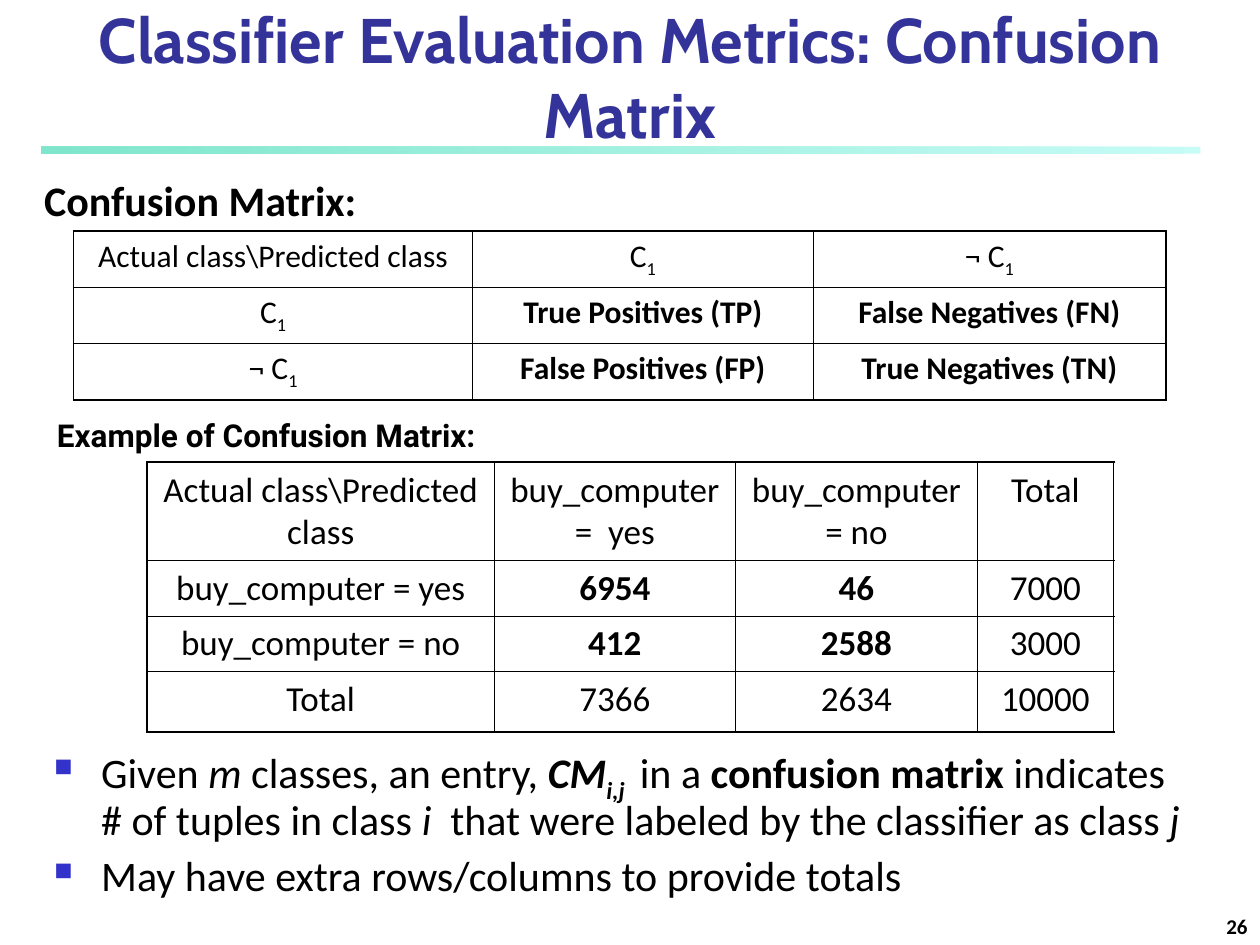
from lxml.etree import SubElement
from pptx import Presentation
from pptx.dml.color import RGBColor
from pptx.enum.shapes import MSO_SHAPE
from pptx.enum.text import MSO_ANCHOR, MSO_AUTO_SIZE, PP_ALIGN
from pptx.oxml.ns import qn
from pptx.util import Cm, Pt

COLORS = {"text": "000000", "title": "333399", "bullet": "3333CC",
          "rule_right": "8FF9EF", "rule_left": "00CE98"}
C1 = [("C", ""), ("1", "_")]
NOT_C1 = [("¬ C", ""), ("1", "_")]
CLASS_ROWS = [
    ["Actual class\\Predicted class", C1, NOT_C1],
    [C1, [("True Positives (TP)", "b")], [("False Negatives (FN)", "b")]],
    [NOT_C1, [("False Positives (FP)", "b")], [("True Negatives (TN)", "b")]],
]
EXAMPLE_ROWS = [
    ["Actual class\\Predicted class", "buy_computer =  yes", "buy_computer = no", "Total"],
    ["buy_computer = yes", [("6954", "b")], [("46", "b")], "7000"],
    ["buy_computer = no", [("412", "b")], [("2588", "b")], "3000"],
    ["Total", "7366", "2634", "10000"],
]
NOTES = [
    [("Given", ""), (" m", "i"), (" classes, an entry, ", ""), ("CM", "bi"),
     ("i,j ", "bi_"), (" in a ", ""), ("confusion matrix", "b"),
     (" indicates # of tuples in class ", ""), ("i", "i"),
     ("  that were labeled by the classifier as class ", ""), ("j", "i")],
    "May have extra rows/columns to provide totals",
]


class SlideBuilder:
    """Holds the text style and the current slide, and adds elements to it."""

    def __init__(self, page, font="Calibri"):
        self.page = page
        self.font = font

    def add_spans(self, para, content, size, color="text", font=None):
        spans = [(content, "")] if isinstance(content, str) else content
        for text, marks in spans:
            span = para.add_run()
            span.text = text
            span.font.name = font or self.font
            span.font.size = Pt(size)
            span.font.bold = "b" in marks
            span.font.italic = "i" in marks
            span.font.color.rgb = RGBColor.from_string(COLORS[color])
            if "_" in marks:
                span.font._element.set("baseline", "-25000")

    def title(self, text, left, top, width, height):
        box = self.page.shapes.title
        box.left, box.top, box.width, box.height = map(Cm, (left, top, width, height))
        frame = box.text_frame
        frame.auto_size = MSO_AUTO_SIZE.NONE
        frame.vertical_anchor = MSO_ANCHOR.BOTTOM
        para = frame.paragraphs[0]
        para.alignment = PP_ALIGN.CENTER
        self.add_spans(para, [(text, "b")], 36, "title", "Cabin")

    def rule(self, left, top, width, height):
        bar = self.page.shapes.add_shape(
            MSO_SHAPE.RECTANGLE, *map(Cm, (left, top, width, height)))
        bar.shadow.inherit = False
        bar.line.fill.background()
        bar.fill.gradient()
        bar.fill.gradient_angle = 180
        for stop, name in zip(bar.fill.gradient_stops, ("rule_right", "rule_left")):
            stop.color.rgb = RGBColor.from_string(COLORS[name])
        for color in bar._element.spPr.iter(qn("a:srgbClr")):
            SubElement(color, qn("a:alpha"), val="50000")

    def frame(self, left, top, width, height, wrap=True):
        box = self.page.shapes.add_textbox(*map(Cm, (left, top, width, height)))
        box.text_frame.word_wrap = wrap
        return box.text_frame

    def label(self, text, place, size, font=None, wrap=True,
              align=PP_ALIGN.LEFT, anchor=MSO_ANCHOR.TOP):
        frame = self.frame(*place, wrap=wrap)
        frame.vertical_anchor = anchor
        para = frame.paragraphs[0]
        para.alignment = align
        self.add_spans(para, [(text, "b")], size, font=font)

    def bullets(self, items, place, size):
        frame = self.frame(*place)
        for index, item in enumerate(items):
            para = frame.add_paragraph() if index else frame.paragraphs[0]
            para.line_spacing = 0.9
            para.space_before = Pt(6 if index else 0)
            props = para._p.get_or_add_pPr()
            props.set("marL", str(Cm(0.95)))
            props.set("indent", str(Cm(-0.95)))
            SubElement(SubElement(props, qn("a:buClr")), qn("a:srgbClr"), val=COLORS["bullet"])
            SubElement(props, qn("a:buSzPct"), val="60000")
            SubElement(props, qn("a:buChar"), char="■")
            self.add_spans(para, item, size)

    def border(self, cell, side, width):
        line = SubElement(cell._tc.get_or_add_tcPr(), qn(f"a:ln{side}"), w=str(Pt(width)))
        SubElement(SubElement(line, qn("a:solidFill")), qn("a:srgbClr"), val=COLORS["text"])

    def table(self, rows, left, top, widths, heights, size):
        table = self.page.shapes.add_table(
            len(rows), len(widths), Cm(left), Cm(top),
            Cm(sum(widths)), Cm(sum(heights))).table
        for column, width in zip(table.columns, widths):
            column.width = Cm(width)
        for r, (row, height) in enumerate(zip(rows, heights)):
            table.rows[r].height = Cm(height)
            for c, content in enumerate(row):
                cell = table.cell(r, c)
                edges = {"L": c == 0, "R": c == len(row) - 1,
                         "T": r == 0, "B": r == len(rows) - 1}
                for side, outer in edges.items():
                    self.border(cell, side, 1.08 if outer else 0.45)
                cell.fill.background()
                para = cell.text_frame.paragraphs[0]
                para.alignment = PP_ALIGN.CENTER
                self.add_spans(para, content, size)


def main():
    deck = Presentation()
    deck.slide_width, deck.slide_height = Cm(25.4), Cm(19.05)
    builder = SlideBuilder(deck.slides.add_slide(deck.slide_layouts[5]))
    builder.rule(0.83, 2.96, 23.37, 0.14)
    builder.title("Classifier Evaluation Metrics: Confusion Matrix", 0, 0, 25.4, 3.18)
    builder.table(EXAMPLE_ROWS, 2.97, 9.32, [6.99, 4.87, 4.87, 2.75],
                  [1.96, 1.1, 1.1, 1.22], 20)
    builder.bullets(NOTES, (0.84, 14.94, 23.5, 3.48), 24)
    builder.label("Confusion Matrix:", (0.64, 3.39, 7.24, 1.27), 24)
    builder.table(CLASS_ROWS, 1.48, 4.66, [8.05, 6.86, 7.11], [1.14, 1.13, 1.14], 18)
    builder.label("Example of Confusion Matrix:", (0.9, 8.26, 9.83, 1.02), 18,
                  font="Roboto", wrap=False)
    builder.label("26", (20.12, 17.98, 5.28, 1.07), 12,
                  align=PP_ALIGN.RIGHT, anchor=MSO_ANCHOR.BOTTOM)
    deck.save("out.pptx")


if __name__ == "__main__":
    main()
